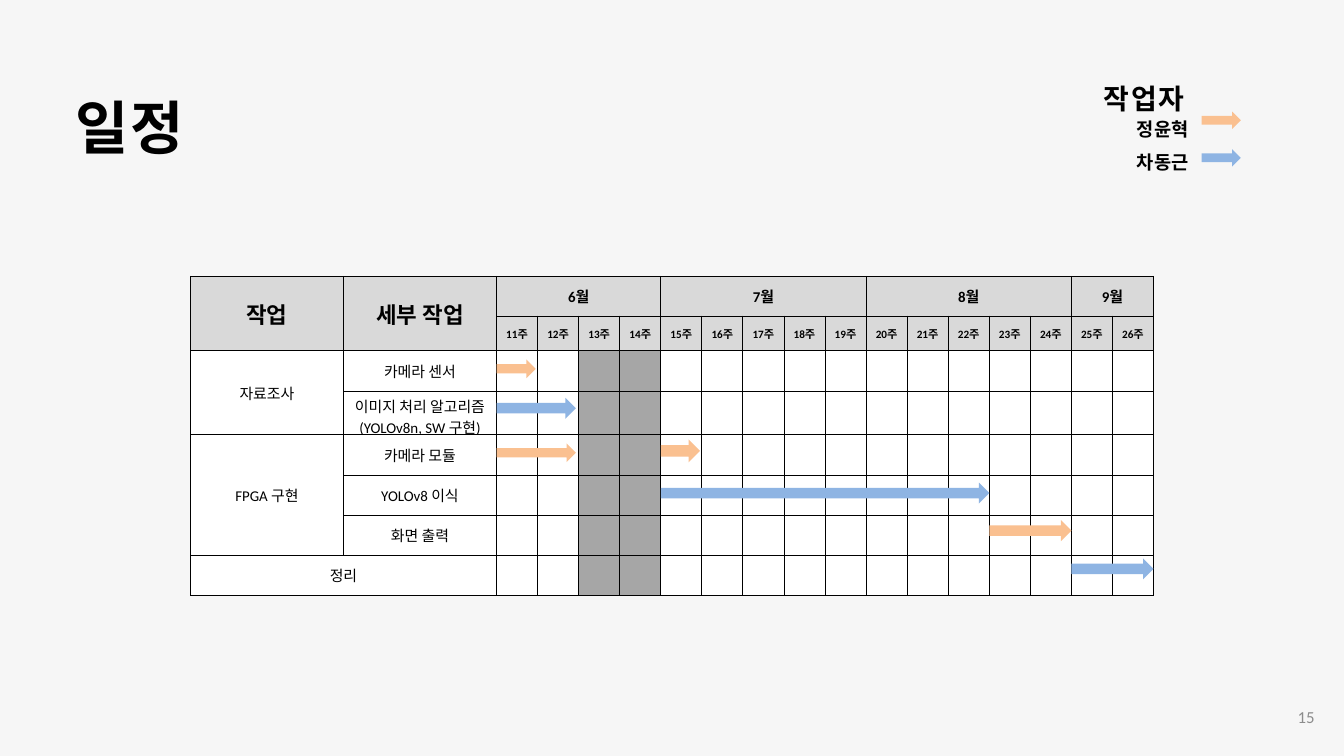
from lxml.etree import SubElement
from pptx import Presentation
from pptx.dml.color import RGBColor
from pptx.enum.shapes import MSO_SHAPE
from pptx.enum.text import MSO_ANCHOR, MSO_AUTO_SIZE, PP_ALIGN
from pptx.oxml import parse_xml
from pptx.oxml.ns import nsdecls, qn
from pptx.util import Pt

BLACK = RGBColor(0x00, 0x00, 0x00)
WHITE = RGBColor(0xFF, 0xFF, 0xFF)
BACKGROUND = RGBColor(0xF6, 0xF6, 0xF6)
HEADER = RGBColor(0xD9, 0xD9, 0xD9)
BREAK = RGBColor(0xA6, 0xA6, 0xA6)
ORANGE = RGBColor(0xFA, 0xC0, 0x90)
BLUE = RGBColor(0x8E, 0xB4, 0xE3)
GRAY = RGBColor(0x8C, 0x8C, 0x8C)

# Schedule geometry, in points
TABLE_LEFT, TABLE_TOP = 204, 296
TASK_WIDTH, WEEK_WIDTH = 164, 44
ROW_HEIGHTS = [42.5, 37.5, 43, 47, 43, 43, 43, 43]
FIRST_WEEK, WEEK_COUNT = 11, 16
BREAK_WEEKS = (13, 14)

MONTHS = [("6월", 4), ("7월", 5), ("8월", 5), ("9월", 2)]
# Label, row, column, rows spanned, columns spanned
TASKS = [
    ("자료조사", 2, 0, 2, 1),
    ("카메라 센서", 2, 1, 1, 1),
    ("이미지 처리 알고리즘\n(YOLOv8n, SW 구현)", 3, 1, 1, 1),
    ("FPGA 구현", 4, 0, 3, 1),
    ("카메라 모듈", 4, 1, 1, 1),
    ("YOLOv8 이식", 5, 1, 1, 1),
    ("화면 출력", 6, 1, 1, 1),
    ("정리", 7, 0, 1, 2),
]
# Start week, width, top, height, worker colour
BARS = [
    (11, 42, 385.2, 20, ORANGE),
    (11, 85, 426.2, 22.5, BLUE),
    (11, 85, 475.2, 20, ORANGE),
    (15, 352, 517, 22.5, BLUE),
    (15, 42, 470.9, 24.5, ORANGE),
    (23, 88, 557.3, 22.5, ORANGE),
    (25, 88, 598.3, 22.5, BLUE),
]


class SlideBuilder:
    """Holds the text style and the page being filled."""

    base_font = {"name": "Arial", "bold": True}

    def __init__(self, page):
        self.page = page

    def add_lines(self, frame, text, color=BLACK, align=PP_ALIGN.LEFT,
                  line=None, tracking=None, **font):
        for index, words in enumerate(text.split("\n")):
            para = frame.add_paragraph() if index else frame.paragraphs[0]
            para.alignment = align
            if line:
                para.line_spacing = line
            span = para.add_run()
            span.text = words
            for key, value in {**self.base_font, **font}.items():
                setattr(span.font, key, value)
            span.font.color.rgb = color
            if tracking:
                span._r.get_or_add_rPr().set("spc", str(tracking))

    def fill_box(self, box, text, margins=(0, 0),
                 anchor=MSO_ANCHOR.TOP, fit=MSO_AUTO_SIZE.SHAPE_TO_FIT_TEXT, **style):
        side, end = margins
        layout = {
            "word_wrap": True, "auto_size": fit, "vertical_anchor": anchor,
            "margin_left": Pt(side), "margin_right": Pt(side),
            "margin_top": Pt(end), "margin_bottom": Pt(end),
        }
        for key, value in layout.items():
            setattr(box.text_frame, key, value)
        self.add_lines(box.text_frame, text, **style)

    def title(self, text, left, top, width, height, **style):
        box = self.page.shapes.title
        place = {"left": left, "top": top, "width": width, "height": height}
        for key, value in place.items():
            setattr(box, key, Pt(value))
        self.fill_box(box, text, **style)

    def text(self, text, left, top, width, height, **style):
        box = self.page.shapes.add_textbox(Pt(left), Pt(top), Pt(width), Pt(height))
        self.fill_box(box, text, **style)

    def arrow(self, left, top, width, height, color):
        shape = self.page.shapes.add_shape(
            MSO_SHAPE.RIGHT_ARROW, Pt(left), Pt(top), Pt(width), Pt(height))
        shape.shadow.inherit = False
        shape.fill.solid()
        shape.fill.fore_color.rgb = color
        shape.line.fill.background()

    def table(self, left, top, widths, heights):
        table = self.page.shapes.add_table(
            len(heights), len(widths), Pt(left), Pt(top),
            Pt(sum(widths)), Pt(sum(heights))).table
        for column, width in zip(table.columns, widths):
            column.width = Pt(width)
        for row, height in zip(table.rows, heights):
            row.height = Pt(height)
        return table

    def cell_format(self, cell, color):
        margin = Pt(4.3)
        values = {
            "vertical_anchor": MSO_ANCHOR.MIDDLE, "margin_left": margin,
            "margin_right": margin, "margin_top": margin, "margin_bottom": margin,
        }
        for key, value in values.items():
            setattr(cell, key, value)
        cell.fill.solid()
        cell.fill.fore_color.rgb = color
        # Borders come before the fill in the cell properties
        properties = cell._tc.get_or_add_tcPr()
        for index, side in enumerate(("lnL", "lnR", "lnT", "lnB")):
            border = parse_xml(f'<a:{side} {nsdecls("a")} w="{Pt(1)}"/>')
            solid = SubElement(border, qn("a:solidFill"))
            SubElement(solid, qn("a:srgbClr"), val=str(BLACK))
            properties.insert(index, border)

    def label(self, table, text, row, column, rows=1, columns=1, size=16, bold=True):
        cell = table.cell(row, column)
        if rows * columns > 1:
            cell.merge(table.cell(row + rows - 1, column + columns - 1))
        self.add_lines(cell.text_frame, text, align=PP_ALIGN.CENTER,
                       name="Calibri", size=Pt(size), bold=bold)


def main():
    deck = Presentation()
    deck.slide_width, deck.slide_height = Pt(1440), Pt(810)
    page = deck.slides.add_slide(deck.slide_layouts[5])
    page.background.fill.solid()
    page.background.fill.fore_color.rgb = BACKGROUND
    builder = SlideBuilder(page)

    # Title and worker legend
    heading = {"line": Pt(86.9), "tracking": 220}
    builder.title("일정", 80.6, 85.7, 738, 80, size=Pt(62), **heading)
    builder.text("작업자", 1182.2, 36.7, 144, 75, size=Pt(30), **heading)
    builder.text("정윤혁\n차동근", 1218.2, 113.8, 282, 67.7, size=Pt(20), line=1.5)
    for top, color in ((119.5, ORANGE), (159.8, BLUE)):
        builder.arrow(1287.4, top, 42, 18.7, color)

    # Page number
    builder.text("15", 1229.8, 747.4, 185.8, 41, margins=(7.2, 3.6),
                 anchor=MSO_ANCHOR.MIDDLE, fit=MSO_AUTO_SIZE.NONE, color=GRAY,
                 align=PP_ALIGN.RIGHT, name="Calibri", size=Pt(18), bold=False)

    # Schedule grid: header rows, task columns and the shaded break
    widths = [TASK_WIDTH] * 2 + [WEEK_WIDTH] * WEEK_COUNT
    table = builder.table(TABLE_LEFT, TABLE_TOP, widths, ROW_HEIGHTS)
    break_columns = [week - FIRST_WEEK + 2 for week in BREAK_WEEKS]
    for row in range(len(ROW_HEIGHTS)):
        for column in range(len(widths)):
            body = BREAK if column in break_columns else WHITE
            builder.cell_format(table.cell(row, column), HEADER if row < 2 else body)

    # Header labels
    for column, text in enumerate(("작업", "세부 작업")):
        builder.label(table, text, 0, column, rows=2, size=24)
    column = 2
    for month, weeks in MONTHS:
        builder.label(table, month, 0, column, columns=weeks)
        column += weeks
    for index in range(WEEK_COUNT):
        builder.label(table, f"{FIRST_WEEK + index}주", 1, index + 2, size=12)

    # Task labels
    for text, row, column, rows, columns in TASKS:
        builder.label(table, text, row, column, rows, columns, bold=False)

    # Schedule bars
    weeks_left = TABLE_LEFT + 2 * TASK_WIDTH
    for week, width, top, height, color in BARS:
        left = weeks_left + (week - FIRST_WEEK) * WEEK_WIDTH
        builder.arrow(left, top, width, height, color)

    deck.save("out.pptx")


if __name__ == "__main__":
    main()
